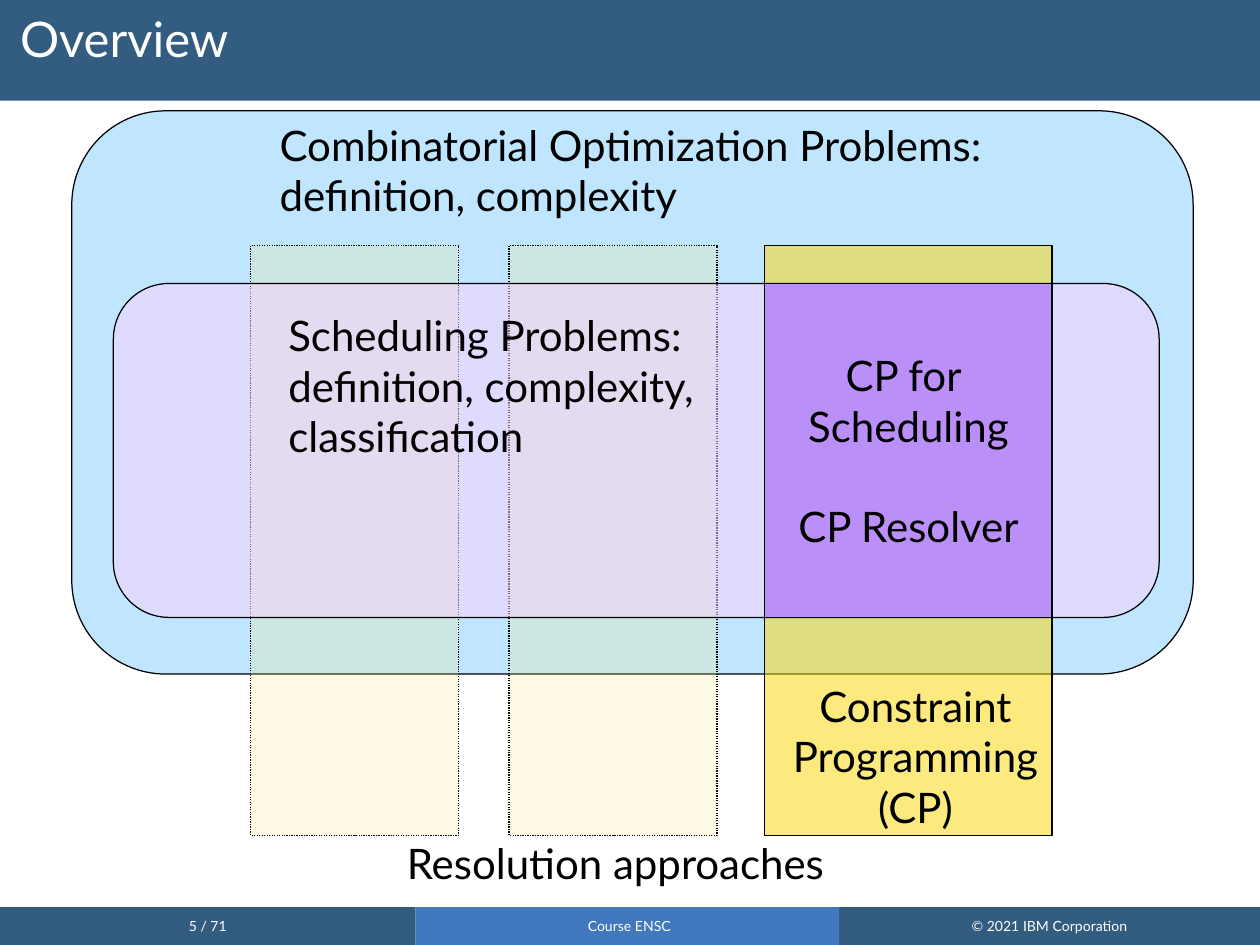
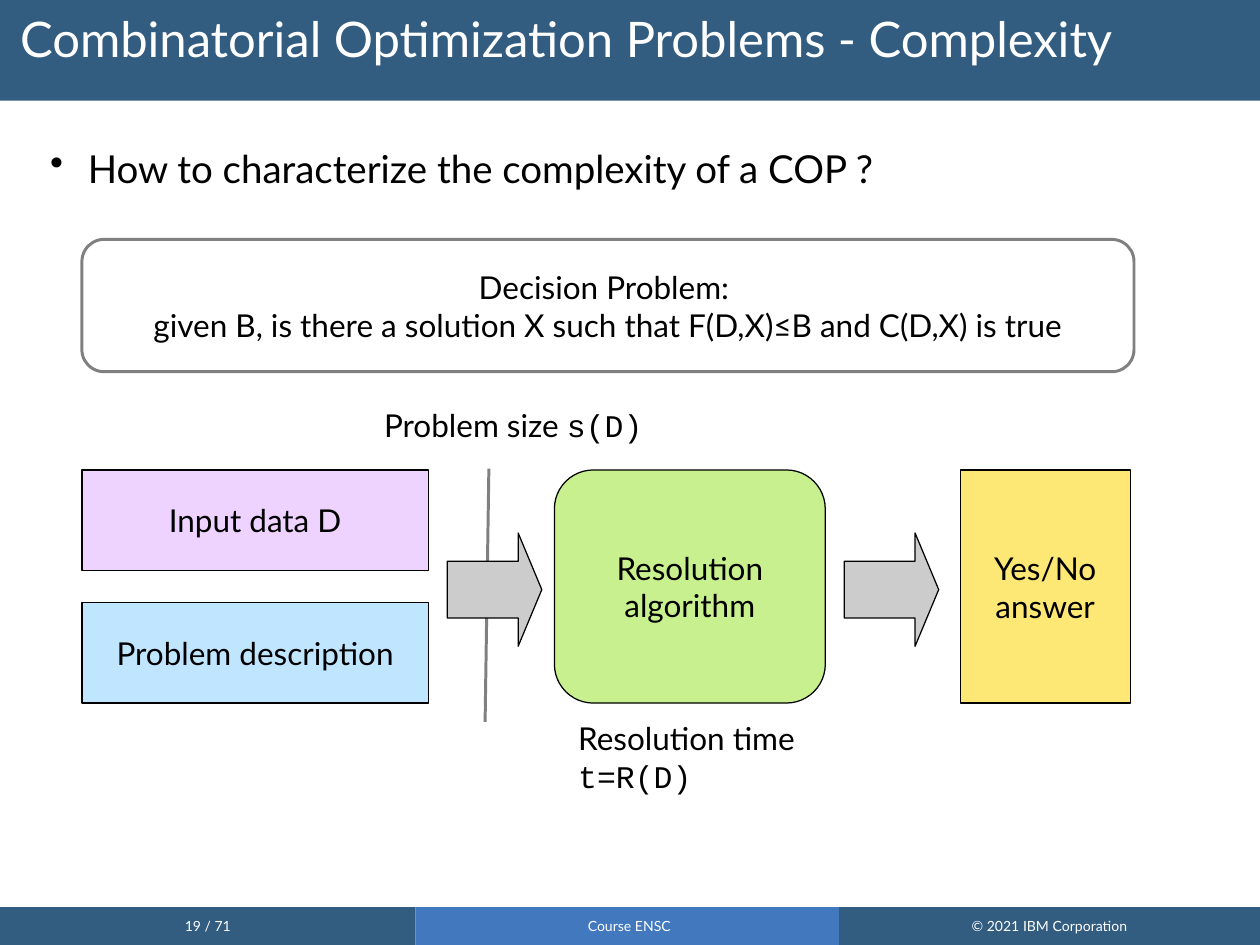
from lxml.etree import SubElement as Sub
from pptx import Presentation as Deck
from pptx.dml.color import RGBColor as RGB
from pptx.enum.dml import MSO_LINE_DASH_STYLE as Dash
from pptx.enum.shapes import MSO_CONNECTOR as Wire, MSO_SHAPE as Kind
from pptx.enum.text import MSO_ANCHOR as Anchor, MSO_AUTO_SIZE as Auto, PP_ALIGN as Align
from pptx.oxml.ns import qn
from pptx.util import Inches, Pt

# Shared look
HUES = {
    "navy": "325C80", "blue": "4178BE", "white": "FFFFFF", "black": "000000",
    "sky": "C0E6FF", "cream": "FDE876", "gold": "FDD600", "pink": "FFD2FF",
    "violet": "BA8FF7", "lilac": "EED2FF", "green": "C8F08F",
    "silver": "CCCCCC", "gray": "808080",
}
FONT, CODE = "Lato", "Courier New"
PAGES = 71
THIN, THICK = 0.71, 1.7
RECT, ROUND, ARROW = Kind.RECTANGLE, Kind.ROUNDED_RECTANGLE, Kind.RIGHT_ARROW


def hue(name):
    return RGB.from_string(HUES[name])


def write(frame, lines, size, color="black", align=Align.LEFT, pad=(0.1, 0.05)):
    """Each line is a string or a list of (text, font) runs."""
    frame.margin_left = frame.margin_right = Inches(pad[0])
    frame.margin_top = frame.margin_bottom = Inches(pad[1])
    frame.word_wrap = False
    for i, line in enumerate(lines):
        para = frame.paragraphs[0] if i == 0 else frame.add_paragraph()
        para.alignment = align
        for text, face in [(line, FONT)] if isinstance(line, str) else line:
            run = para.add_run()
            run.text = text
            run.font.name = face
            run.font.size = Pt(size)
            run.font.color.rgb = hue(color)


def label(slide, at, lines, size, **style):
    box = slide.shapes.add_textbox(*map(Inches, at))
    write(box.text_frame, lines, size, **style)
    box.text_frame.auto_size = Auto.SHAPE_TO_FIT_TEXT
    return box.text_frame


def block(slide, kind, at, fill, lines=(), size=18, color="black",
          edge="black", width=THIN, alpha=None, dash=None, pad=(0.09, 0.04)):
    shape = slide.shapes.add_shape(kind, *map(Inches, at))
    shape.shadow.inherit = False
    shape.fill.solid()
    shape.fill.fore_color.rgb = hue(fill)
    if alpha is not None:
        tint = shape.fill._xPr.find(qn("a:solidFill"))[0]
        Sub(tint, qn("a:alpha")).set("val", str(alpha * 1000))
    if edge:
        shape.line.color.rgb = hue(edge)
        shape.line.width = Pt(width)
        if dash:
            shape.line.dash_style = dash
    else:
        shape.line.fill.background()
    if lines:
        shape.text_frame.vertical_anchor = Anchor.MIDDLE
        write(shape.text_frame, lines, size, color, Align.CENTER, pad)
    return shape


def stroke(slide, start, end):
    line = slide.shapes.add_connector(Wire.STRAIGHT, *map(Inches, start + end))
    line.line.color.rgb = hue("gray")
    line.line.width = Pt(THICK)
    Sub(line._element.spPr, qn("a:effectLst"))


def point(slide, at, text):
    frame = label(slide, at, [], 22)
    frame.word_wrap = True
    props = frame.paragraphs[0]._p.get_or_add_pPr()
    props.set("marL", str(Inches(0.3)))
    props.set("indent", str(-Inches(0.3)))
    Sub(props, qn("a:buChar")).set("char", "•")
    run = frame.paragraphs[0].add_run()
    run.text = text
    run.font.name = FONT
    run.font.size = Pt(22)
    run.font.color.rgb = hue("black")


def start(deck, title, page):
    """New slide with its title band and footer."""
    slide = deck.slides.add_slide(deck.slide_layouts[6])
    block(slide, RECT, (0, 0, 10, 0.8), "navy", edge=None)
    foot = [(0, 3.3, "navy", f"{page} / {PAGES}"),
            (3.3, 3.39, "blue", "Course ENSC"),
            (6.66, 3.34, "navy", "© 2021 IBM Corporation")]
    for left, wide, fill, text in foot:
        block(slide, RECT, (left, 7.2, wide, 0.3), fill, [text], 8, "white",
              edge=None, pad=(0.1, 0.05))
    frame = label(slide, (0, 0, 10, 0.8), [title], 28, color="white", pad=(0.16, 0.12))
    frame.auto_size = Auto.NONE
    frame.word_wrap = True
    frame.paragraphs[0].line_spacing = 0.9
    return slide


def scope(deck):
    slide = start(deck, "Overview", 5)
    block(slide, ROUND, (0.57, 0.88, 8.9, 4.47), "sky")

    # Columns of solving methods
    top, tall = 1.95, 4.68
    for left in (1.99, 4.04):
        block(slide, RECT, (left, top, 1.65, tall), "cream", alpha=20, dash=Dash.ROUND_DOT)
    block(slide, RECT, (6.07, top, 2.28, tall), "gold", alpha=50)
    label(slide, (3.13, 6.6, 3.78, 0.5), ["Resolution approaches"], 24)
    label(slide, (6.07, 5.35, 2.39, 1.3), ["Constraint", "Programming", "(CP)"], 24,
          align=Align.CENTER)

    # Problem classes
    block(slide, ROUND, (0.9, 2.25, 8.3, 2.65), "pink", alpha=50)
    label(slide, (2.19, 2.41, 3.67, 1.3),
          ["Scheduling Problems:", "definition, complexity,", "classification"], 24)
    label(slide, (2.12, 0.9, 6.21, 0.9),
          ["Combinatorial Optimization Problems:", "definition, complexity"], 24)

    # Where method and problem meet
    cross = block(slide, RECT, (6.07, 2.25, 2.28, 2.65), "violet",
                  ["CP for ", "Scheduling", "CP Resolver"], 24)
    cross.text_frame.paragraphs[2].space_before = Pt(28.8)


def cost(deck):
    slide = start(deck, "Combinatorial Optimization Problems - Complexity", 19)
    point(slide, (0.3, 1.1, 9.3, 0.75), "How to characterize the complexity of a COP ?")

    # Inputs, solver and answer
    top, tall = 3.73, 1.85
    inputs = [("lilac", "Input data D"), ("sky", "Problem description")]
    for i, (fill, text) in enumerate(inputs):
        block(slide, RECT, (0.65, top + 1.05 * i, 2.75, 0.8), fill, [text])
    block(slide, ROUND, (4.4, top, 2.15, tall), "green", ["Resolution", "algorithm"])
    block(slide, RECT, (7.62, top, 1.35, tall), "cream", ["Yes/No", "answer"])

    # Flow
    stroke(slide, (3.88, 3.72), (3.85, 5.73))
    for left in (3.55, 6.7):
        arrow = block(slide, ARROW, (left, 4.23, 0.75, 0.9), "silver")
        arrow.adjustments[1] = 0.25

    # Measures
    label(slide, (2.95, 3.17, 2.33, 0.4), [[("Problem size ", FONT), ("s(D)", CODE)]], 18)
    label(slide, (4.49, 5.66, 2.04, 0.7), ["Resolution time", [("t=R(D)", CODE)]], 18)

    # Question to decide
    block(slide, ROUND, (0.65, 1.9, 8.35, 1.05), "white",
          ["Decision Problem: ",
           "given B, is there a solution X such that F(D,X)≤B and C(D,X) is true"],
          edge="gray", width=THICK)


def main():
    deck = Deck()
    deck.slide_width, deck.slide_height = Inches(10), Inches(7.5)
    scope(deck)
    cost(deck)
    deck.save("out.pptx")


if __name__ == "__main__":
    main()
